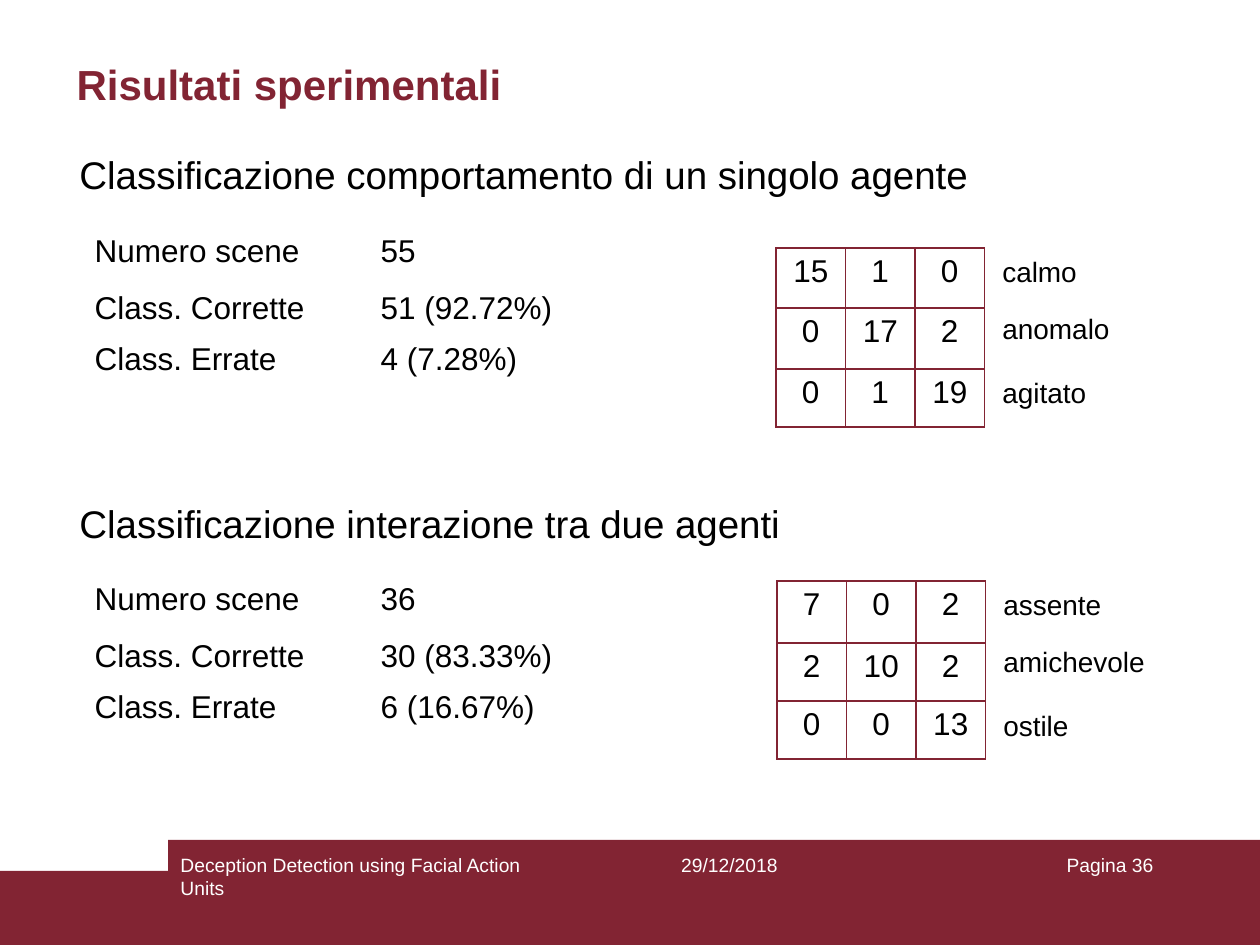
from lxml.etree import SubElement
from pptx import Presentation
from pptx.dml.color import RGBColor
from pptx.enum.shapes import MSO_SHAPE
from pptx.enum.text import MSO_ANCHOR, PP_ALIGN
from pptx.oxml.ns import qn
from pptx.util import Pt

EMU_PER_PX = 914400 / 126
BURGUNDY, WHITE, BLACK = "822433", "FFFFFF", "000000"


def box(*lengths):
    return [round(length * EMU_PER_PX) for length in lengths]


def write(frame, text, size=18, color=BLACK, bold=False, align=PP_ALIGN.LEFT, wrap=True):
    frame.word_wrap = wrap
    paragraph = frame.paragraphs[0]
    paragraph.alignment = align
    run = paragraph.add_run()
    run.text = text
    run.font.name = "Arial"
    run.font.size = Pt(size)
    run.font.bold = bold
    run.font.color.rgb = RGBColor.from_string(color)


presentation = Presentation()
presentation.slide_width, presentation.slide_height = box(1260, 945)
slide = presentation.slides.add_slide(presentation.slide_layouts[5])
shapes = slide.shapes

# Title
title = shapes.title
title.left, title.top, title.width, title.height = box(64, 49, 1042, 69)
title.text_frame.vertical_anchor = MSO_ANCHOR.MIDDLE
write(title.text_frame, "Risultati sperimentali", size=24, color=BURGUNDY, bold=True)

# Footer
for left, top in [(0, 871), (168, 840)]:
    band = shapes.add_shape(MSO_SHAPE.RECTANGLE, *box(left, top, 1260 - left, 945 - top))
    band.shadow.inherit = False
    band.fill.solid()
    band.fill.fore_color.rgb = RGBColor.from_string(BURGUNDY)
    band.line.fill.background()

for left, width, text, align in [
    (168, 399, "Deception Detection using Facial Action Units", PP_ALIGN.LEFT),
    (598, 263, "29/12/2018", PP_ALIGN.CENTER),
    (903, 263, "Pagina 36", PP_ALIGN.RIGHT),
]:
    footer = shapes.add_textbox(*box(left, 847, width, 63))
    write(footer.text_frame, text, size=11, color=WHITE, align=align)

# Each section: heading, summary table, confusion matrix with row labels
sections = [
    {
        "heading": "Classificazione comportamento di un singolo agente",
        "heading_box": (67, 145, 925, 106),
        "summary_top": 228,
        "summary": ["55", "51 (92.72%)", "4 (7.28%)"],
        "matrix_at": (776, 248),
        "row_heights": [60, 61, 58],
        "matrix": [[15, 1, 0], [0, 17, 2], [0, 1, 19]],
        "labels": [("calmo", 101), ("anomalo", 134), ("agitato", 111)],
    },
    {
        "heading": "Classificazione interazione tra due agenti",
        "heading_box": (67, 494, 735, 106),
        "summary_top": 576,
        "summary": ["36", "30 (83.33%)", "6 (16.67%)"],
        "matrix_at": (777, 581),
        "row_heights": [62, 58, 58],
        "matrix": [[7, 0, 2], [2, 10, 2], [0, 0, 13]],
        "labels": [("assente", 125), ("amichevole", 168), ("ostile", 91)],
    },
]
summary_names = ["Numero scene", "Class. Corrette", "Class. Errate"]
label_offsets = [0, 57, 121]

for section in sections:
    heading = shapes.add_textbox(*box(*section["heading_box"]))
    write(heading.text_frame, section["heading"], size=22, wrap=False)

    matrix_left, matrix_top = section["matrix_at"]
    tables = [
        (82, section["summary_top"], 286, [57, 50, 50],
         list(zip(summary_names, section["summary"])), False),
        (matrix_left, matrix_top, 69.5, section["row_heights"], section["matrix"], True),
    ]
    for left, top, column_width, row_heights, rows, is_matrix in tables:
        column_count = len(rows[0])
        table = shapes.add_table(
            len(rows), column_count,
            *box(left, top, column_width * column_count, sum(row_heights)),
        ).table
        table.first_row = table.horz_banding = False
        for column in table.columns:
            column.width = box(column_width)[0]
        for r, values in enumerate(rows):
            table.rows[r].height = box(row_heights[r])[0]
            for c, value in enumerate(values):
                cell = table.cell(r, c)
                align = PP_ALIGN.CENTER if is_matrix else PP_ALIGN.LEFT
                write(cell.text_frame, str(value), align=align)
                if not is_matrix:
                    cell.fill.background()
                    continue
                # Borders precede the fill in the cell properties
                properties = cell._tc.get_or_add_tcPr()
                for side in ("a:lnL", "a:lnR", "a:lnT", "a:lnB"):
                    border = SubElement(properties, qn(side), w=str(Pt(1)))
                    border_fill = SubElement(border, qn("a:solidFill"))
                    SubElement(border_fill, qn("a:srgbClr"), val=BURGUNDY)
                cell.fill.solid()
                cell.fill.fore_color.rgb = RGBColor.from_string(WHITE)

    for (text, width), offset in zip(section["labels"], label_offsets):
        label = shapes.add_textbox(*box(matrix_left + 214, matrix_top + offset, width, 47))
        write(label.text_frame, text, size=16, wrap=False)

presentation.save("out.pptx")
